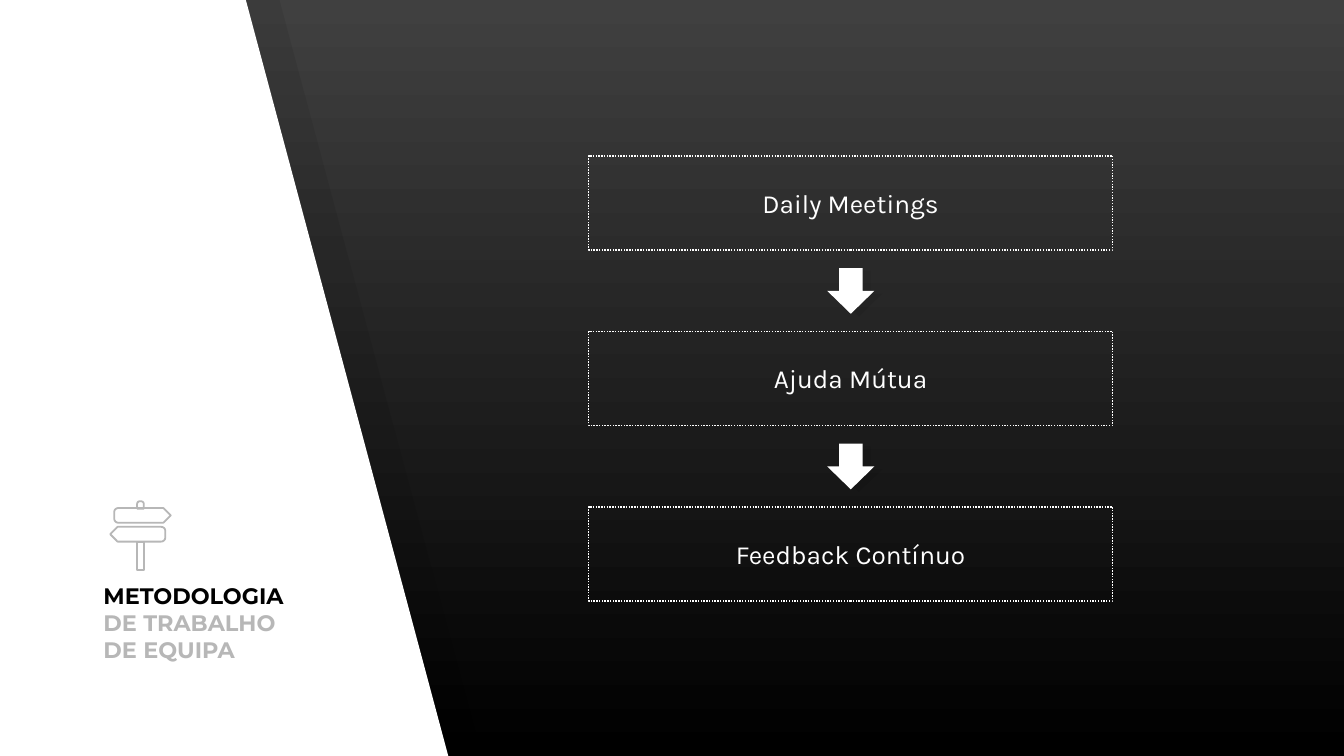
"""Build the team methodology slide: a slanted title panel and three linked steps."""
from dataclasses import dataclass
from math import cos, pi, sin

from lxml import etree
from pptx import Presentation, util as u
from pptx.dml.color import RGBColor
from pptx.enum import dml, shapes, text
from pptx.oxml.ns import qn

CELL = u.Inches(0.1)
COLUMNS, ROWS = 100, 56.25

BLACK = RGBColor(0x00, 0x00, 0x00)
CHARCOAL = RGBColor(0x40, 0x40, 0x40)
GRAY = RGBColor(0xB7, 0xB7, 0xB7)
WHITE = RGBColor(0xFF, 0xFF, 0xFF)

STEPS = ("Daily Meetings", "Ajuda Mútua", "Feedback Contínuo")
STEP_PITCH = 13.06
SHADE_ALPHA = 7
CORNER = 0.3
PANEL = ((-0.2, -0.1), (-0.2, 56.4), (33.4, 56.4), (18.3, 0))


@dataclass(frozen=True)
class Area:
    """A rectangle in grid columns and rows."""
    column: float
    row: float
    width: float
    height: float

    def moved(self, columns: float = 0, rows: float = 0) -> "Area":
        """Return the same rectangle shifted on the grid."""
        return Area(self.column + columns, self.row + rows, self.width, self.height)

    def lengths(self) -> list[int]:
        """Return left, top, width and height in slide units."""
        return [cells(value) for value in (self.column, self.row, self.width, self.height)]


TITLE = Area(6.7, 45, 17.5, 5.3)
STEP = Area(43.8, 11.6, 39, 7)
ARROW = Area(61.6, 19.9, 3.4, 3.5)
SIGN_CAP = Area(10.2, 37.3, 0.5, 0.55)
SIGN_POST = Area(10.2, 40.3, 0.5, 2.1)
SIGN_BOARDS = ((Area(8.5, 37.8, 4.2, 1.1), False), (Area(8.2, 39.2, 4.1, 1.1), True))


def cells(value: float) -> int:
    """Convert grid cells to slide units."""
    return round(value * CELL)


def style(shape, fill=None, alpha=None, line=None, width=0.75, dash=None) -> None:
    """Set fill, outline and transparency, and remove the shadow."""
    shape.shadow.inherit = False
    if fill is None:
        shape.fill.background()
    else:
        shape.fill.solid()
        shape.fill.fore_color.rgb = fill
    if alpha is not None:
        color = shape._element.spPr.find(qn("a:solidFill"))[0]
        etree.SubElement(color, qn("a:alpha"), val=str(alpha * 1000))
    if line is None:
        shape.line.fill.background()
        return
    shape.line.color.rgb = line
    shape.line.width = u.Pt(width)
    if dash is not None:
        shape.line.dash_style = dash


def add_preset(parent, kind, area: Area, **look):
    """Add a preset shape on the grid."""
    shape = parent.add_shape(kind, *area.lengths())
    style(shape, **look)
    return shape


def add_outline(parent, points, **look):
    """Add a closed outline through grid points."""
    corners = [(cells(column), cells(row)) for column, row in points]
    builder = parent.build_freeform(*corners[0])
    builder.add_line_segments(corners[1:], close=True)
    shape = builder.convert_to_shape()
    style(shape, **look)
    return shape


def write(shape, *runs, font, size, bold=False, align, anchor) -> None:
    """Write (text, colour) runs into the shape as one paragraph."""
    frame = shape.text_frame
    frame.word_wrap = True
    frame.auto_size = text.MSO_AUTO_SIZE.NONE
    frame.vertical_anchor = anchor
    frame.margin_left = frame.margin_right = CELL
    frame.margin_top = frame.margin_bottom = CELL
    paragraph = frame.paragraphs[0]
    paragraph.alignment = align
    for words, color in runs:
        run = paragraph.add_run()
        run.text = words
        run.font.name = font
        run.font.size = u.Pt(size)
        run.font.bold = bold
        run.font.color.rgb = color


def board_points(area: Area, flipped: bool) -> list[tuple[float, float]]:
    """Return a sign board with two rounded corners and a pointed end."""
    half = area.height / 2
    points = [(area.width - half, 0), (area.width, half), (area.width - half, area.height)]
    for center, start in ((area.height - CORNER, pi / 2), (CORNER, pi)):
        for step in range(5):
            angle = start + step * pi / 8
            points.append((CORNER + CORNER * cos(angle), center + CORNER * sin(angle)))
    return [(area.column + (area.width - x if flipped else x), area.row + y)
            for x, y in points]


def add_arrow(slide, area: Area) -> None:
    """Add a white arrow pointing down over its soft shade."""
    group = slide.shapes.add_group_shape().shapes
    for place, look in ((area.moved(0.6, 0.2), {"fill": BLACK, "alpha": SHADE_ALPHA}),
                        (area, {"fill": WHITE})):
        arrow = add_preset(group, shapes.MSO_SHAPE.RIGHT_ARROW, place, **look)
        arrow.rotation = 90


def add_step(slide, label: str, area: Area) -> None:
    """Add a dotted box with a centred label."""
    box = add_preset(slide.shapes, shapes.MSO_SHAPE.RECTANGLE, area, line=WHITE,
                     dash=dml.MSO_LINE.ROUND_DOT)
    write(box, (label, WHITE), font="Karla", size=14,
          align=text.PP_ALIGN.CENTER, anchor=text.MSO_ANCHOR.MIDDLE)


def add_signpost(slide) -> None:
    """Add the outlined signpost above the title."""
    group = slide.shapes.add_group_shape().shapes
    look = {"line": GRAY, "width": 0.96}
    for area, flipped in SIGN_BOARDS:
        add_outline(group, board_points(area, flipped), **look)
    cap = add_preset(group, shapes.MSO_SHAPE.ROUND_2_SAME_RECTANGLE, SIGN_CAP, **look)
    cap.adjustments[0] = 0.4
    add_preset(group, shapes.MSO_SHAPE.RECTANGLE, SIGN_POST, **look)


def paint_background(slide) -> None:
    """Fill the background with a gradient from charcoal down to black."""
    fill = slide.background.fill
    fill.gradient()
    fill.gradient_angle = 270
    for stop, color in zip(fill.gradient_stops, (CHARCOAL, BLACK)):
        stop.color.rgb = color


def main() -> None:
    """Build and save the presentation."""
    presentation = Presentation()
    presentation.slide_width = cells(COLUMNS)
    presentation.slide_height = cells(ROWS)
    slide = presentation.slides.add_slide(presentation.slide_layouts[5])
    paint_background(slide)

    shade = [(column + 2.5, row) for column, row in PANEL]
    add_outline(slide.shapes, shade, fill=BLACK, alpha=SHADE_ALPHA)
    add_outline(slide.shapes, PANEL, fill=WHITE)

    title = slide.shapes.title
    title.left, title.top, title.width, title.height = TITLE.lengths()
    write(title, ("METODOLOGIA", BLACK), (" DE TRABALHO DE EQUIPA", GRAY),
          font="Montserrat", size=12, bold=True,
          align=text.PP_ALIGN.LEFT, anchor=text.MSO_ANCHOR.BOTTOM)
    slide.shapes._spTree.append(title._element)

    for index, label in enumerate(STEPS):
        add_step(slide, label, STEP.moved(rows=index * STEP_PITCH))
        if index < len(STEPS) - 1:
            add_arrow(slide, ARROW.moved(rows=index * STEP_PITCH))
    add_signpost(slide)
    presentation.save("out.pptx")


if __name__ == "__main__":
    main()
